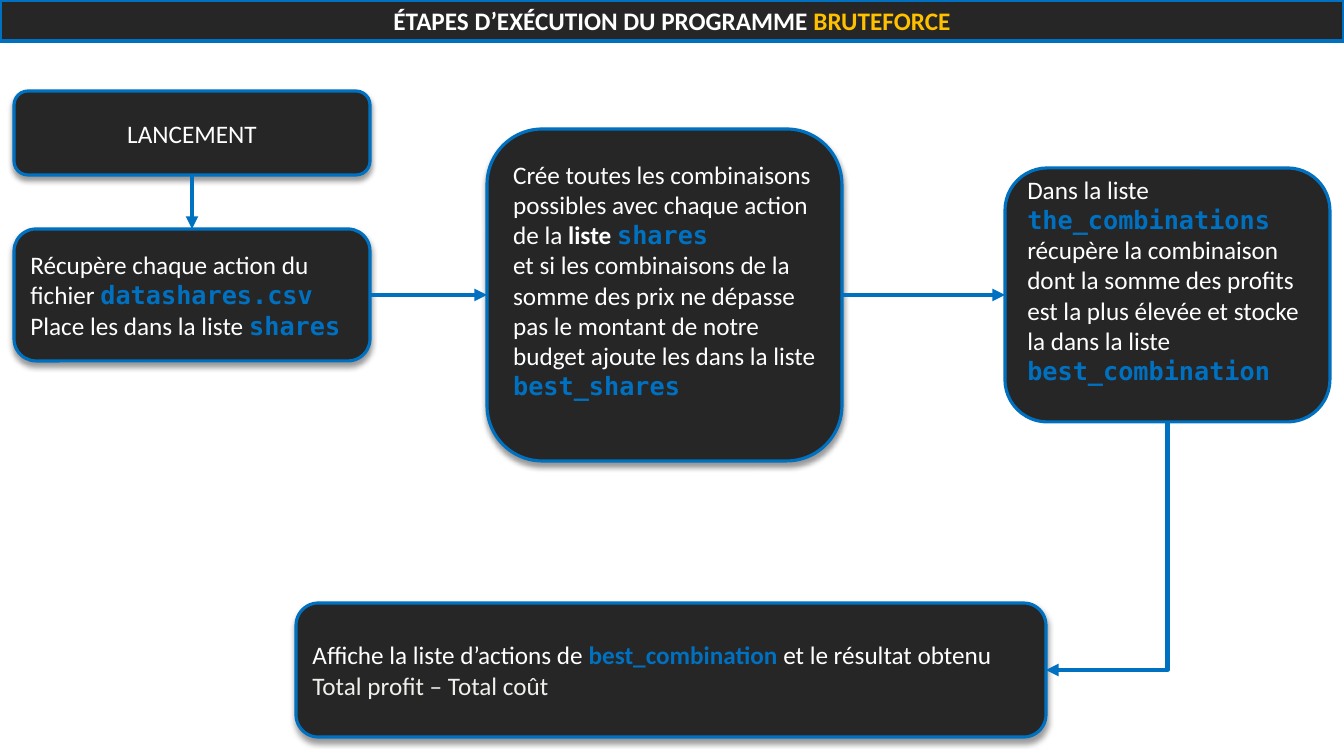
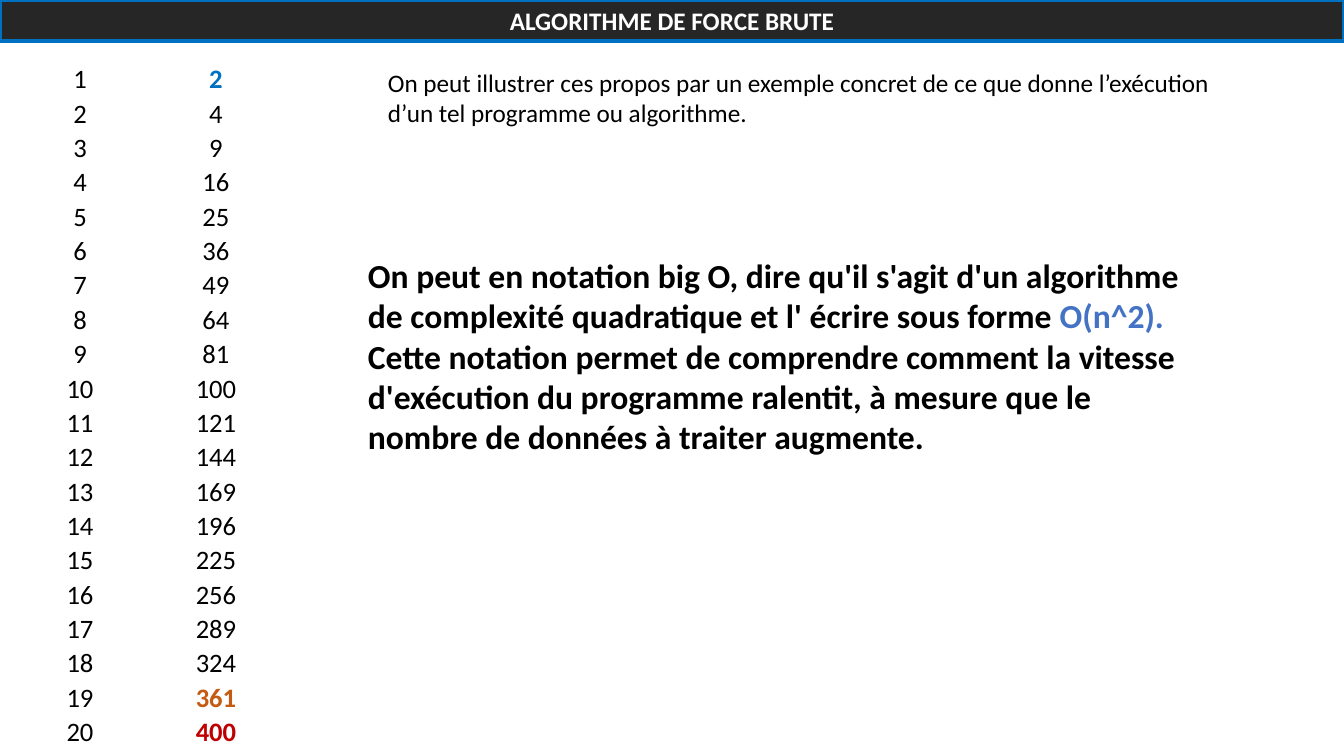
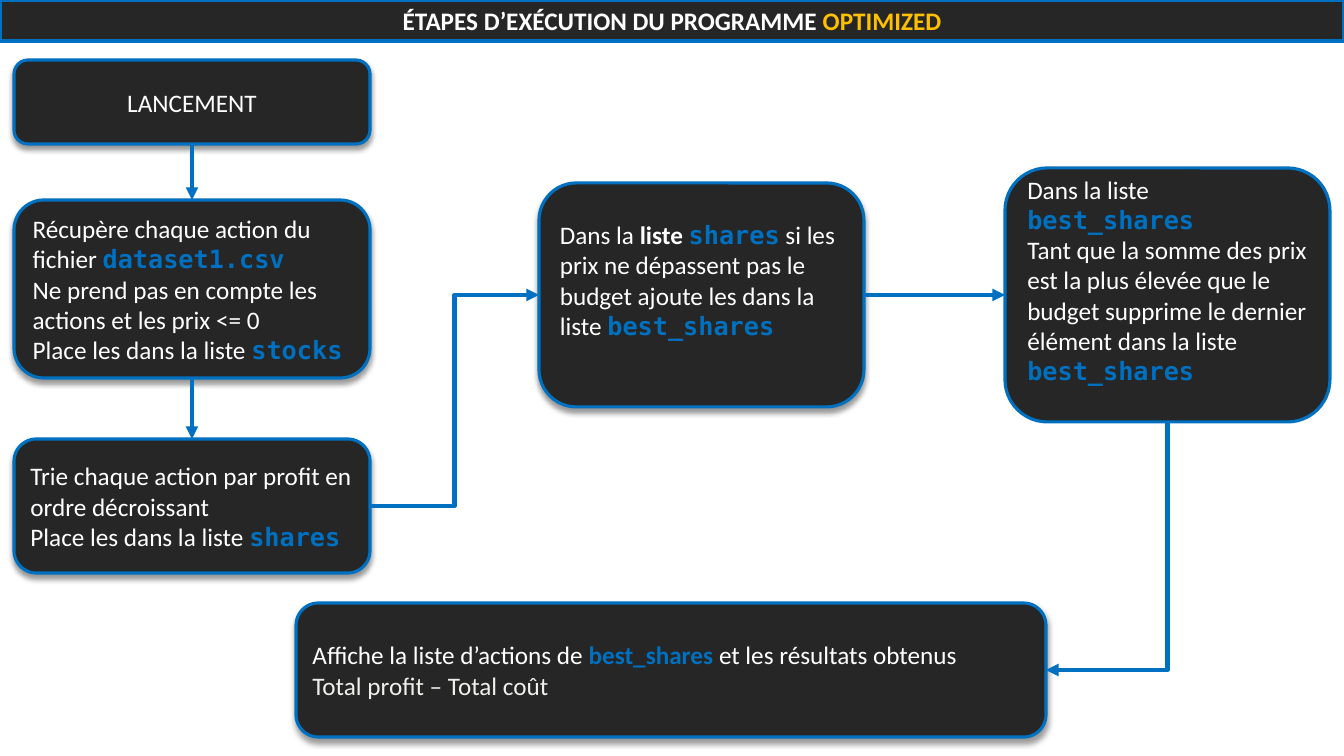
from dataclasses import dataclass

from lxml.etree import SubElement
from pptx import Presentation
from pptx.dml.color import RGBColor
from pptx.enum.shapes import MSO_CONNECTOR, MSO_SHAPE
from pptx.enum.text import MSO_ANCHOR, MSO_AUTO_SIZE, PP_ALIGN
from pptx.oxml.ns import qn
from pptx.util import Emu, Pt

SLIDE_WIDTH, SLIDE_HEIGHT = 1344, 756
EMU_PER_PX = 12192000 / SLIDE_WIDTH
TITLE_ONLY = 5
TOP, LEFT, BOTTOM, RIGHT = range(4)  # connection sites of a box


def px(length):
    return Emu(round(length * EMU_PER_PX))


@dataclass(frozen=True)
class Theme:
    panel: str = "262626"
    accent: str = "0070C0"
    light: str = "FFFFFF"
    soft: str = "EFF0EB"
    dark: str = "000000"
    gold: str = "FFC000"
    formula: str = "4472C4"
    orange: str = "C55A11"
    red: str = "C00000"
    text_font: str = "Calibri"
    code_font: str = "DejaVu Sans Mono"
    text_size: int = 18
    table_size: int = 19
    statement_size: int = 24
    outline: float = 2.25
    arrow: int = 3


@dataclass(frozen=True)
class Span:
    text: str
    color: str = None
    bold: bool = None
    name: str = None


THEME = Theme()


def code(text):
    return Span(text, THEME.accent, True, THEME.code_font)


def strong(text, color=None):
    return Span(text, color, True)


class Board:
    """Holds the style, the deck and the current slide."""

    def __init__(self, theme):
        self.theme = theme
        self.deck = Presentation()
        self.deck.slide_width = px(SLIDE_WIDTH)
        self.deck.slide_height = px(SLIDE_HEIGHT)
        self.page = None

    # Text
    def style(self, font, color=None, bold=None, name=None, size=None):
        if color:
            font.color.rgb = RGBColor.from_string(color)
        if bold is not None:
            font.bold = bold
        if name:
            font.name = name
        if size:
            font.size = Pt(size)

    def set_text(self, frame, paras, color, size=None, bold=False, align=PP_ALIGN.LEFT):
        frame.word_wrap = True
        for index, spans in enumerate(paras):
            para = frame.add_paragraph() if index else frame.paragraphs[0]
            para.alignment = align
            self.style(para.font, color, bold, self.theme.text_font,
                       size or self.theme.text_size)
            for span in spans:
                span = Span(span) if isinstance(span, str) else span
                run = para.add_run()
                run.text = span.text
                self.style(run.font, span.color, span.bold, span.name)

    def text(self, x, y, width, height, spans, size=None, bold=False):
        box = self.page.shapes.add_textbox(px(x), px(y), px(width), px(height))
        self.set_text(box.text_frame, [spans], self.theme.dark, size, bold)

    # Filled panels
    def panel(self, shape):
        shape.fill.solid()
        shape.fill.fore_color.rgb = RGBColor.from_string(self.theme.panel)
        shape.line.color.rgb = RGBColor.from_string(self.theme.accent)
        shape.line.width = Pt(self.theme.outline)

    def new_page(self, *title_spans):
        self.page = self.deck.slides.add_slide(self.deck.slide_layouts[TITLE_ONLY])
        title = self.page.shapes.title
        title.left, title.top = px(0), px(0)
        title.width, title.height = px(SLIDE_WIDTH), px(41)
        self.panel(title)
        title.text_frame.auto_size = MSO_AUTO_SIZE.NONE
        self.set_text(title.text_frame, [title_spans], self.theme.light,
                      bold=True, align=PP_ALIGN.CENTER)

    def step(self, x, y, width, height, *paras, lift=0, shadow=True,
             align=PP_ALIGN.LEFT):
        box = self.page.shapes.add_shape(
            MSO_SHAPE.ROUNDED_RECTANGLE, px(x), px(y), px(width), px(height))
        self.panel(box)
        box.shadow.inherit = False
        if shadow:
            self.drop_shadow(box)
        frame = box.text_frame
        frame.vertical_anchor = MSO_ANCHOR.MIDDLE
        frame.margin_bottom = px(5 + 2 * lift)
        self.set_text(frame, paras, self.theme.light, align=align)
        return box

    def drop_shadow(self, box):
        effects = box._element.spPr.find(qn("a:effectLst"))
        outer = SubElement(effects, qn("a:outerShdw"), blurRad=str(Pt(4)),
                           dist=str(Pt(3)), dir="5400000", algn="t", rotWithShape="0")
        color = SubElement(outer, qn("a:srgbClr"), val=self.theme.dark)
        SubElement(color, qn("a:alpha"), val="40000")

    # Arrows
    def arrow(self, start, start_site, end, end_site, kind=MSO_CONNECTOR.STRAIGHT):
        link = self.page.shapes.add_connector(kind, 0, 0, 0, 0)
        link.begin_connect(start, start_site)
        link.end_connect(end, end_site)
        link.line.color.rgb = RGBColor.from_string(self.theme.accent)
        link.line.width = Pt(self.theme.arrow)
        properties = link._element.spPr
        SubElement(properties.find(qn("a:ln")), qn("a:tailEnd"), type="triangle")
        SubElement(properties, qn("a:effectLst"))
        return link

    def corner_arrow(self, start, end):
        """Goes down from start, then left into end: one bend, turned by 90°."""
        link = self.arrow(start, BOTTOM, end, RIGHT, MSO_CONNECTOR.ELBOW)
        center_x = (link.begin_x + link.end_x) // 2
        center_y = (link.begin_y + link.end_y) // 2
        link.width, link.height = link.height, link.width
        link.left = center_x - link.width // 2
        link.top = center_y - link.height // 2
        frame = link._element.spPr.find(qn("a:xfrm"))
        frame.attrib.pop("flipH", None)
        frame.set("rot", "5400000")
        link._element.spPr.find(qn("a:prstGeom")).set("prst", "bentConnector2")

    # Table
    def table(self, x, y, width, height, rows):
        table = self.page.shapes.add_table(
            len(rows), len(rows[0]), px(x), px(y), px(width), px(height)).table
        table.first_row = table.horz_banding = False
        for row, spans in zip(table.rows, rows):
            for cell, span in zip(row.cells, spans):
                cell.fill.background()
                cell.vertical_anchor = MSO_ANCHOR.MIDDLE
                cell.margin_left = cell.margin_right = cell.margin_top = px(1)
                cell.margin_bottom = 0
                self.set_text(cell.text_frame, [[span]], self.theme.dark,
                              self.theme.table_size, align=PP_ALIGN.CENTER)

    # Steps found in both programmes
    def launch(self, y):
        return self.step(14, y, 356, 84, ["LANCEMENT"], align=PP_ALIGN.CENTER)

    def selection(self, *paras):
        return self.step(1005, 168, 325, 254, *paras, lift=15, shadow=False)

    def display(self, name, ending):
        return self.step(
            296, 603, 750, 134,
            ["Affiche la liste d’actions de ", strong(name + " ", self.theme.accent),
             ending],
            [Span("Total profit – Total coût", self.theme.soft)])


def bruteforce_steps(board):
    board.new_page("ÉTAPES D’EXÉCUTION DU PROGRAMME ", Span("BRUTEFORCE", THEME.gold))
    launch = board.launch(91)
    load = board.step(
        14, 229, 356, 132,
        ["Récupère chaque action du fichier ", code("datashares.csv")],
        ["Place les dans la liste ", code("shares")])
    combine = board.step(
        487, 129, 355, 332,
        ["Crée toutes les combinaisons possibles avec chaque action de la ",
         strong("liste "), code("shares")],
        ["et si les combinaisons de la somme des prix ne dépasse pas le montant "
         "de notre budget ajoute les dans la liste ", code("best_shares")],
        lift=15)
    select = board.selection(
        ["Dans la liste ", code("the_combinations")],
        ["récupère la combinaison dont la somme des profits est la plus élevée "
         "et stocke la dans la liste ", code("best_combination")])
    display = board.display("best_combination", "et le résultat obtenu")
    board.arrow(launch, BOTTOM, load, TOP)
    board.arrow(load, RIGHT, combine, LEFT)
    board.arrow(combine, RIGHT, select, LEFT)
    board.corner_arrow(select, display)


def brute_force_algorithm(board):
    board.new_page("ALGORITHME DE FORCE BRUTE")
    results = [2] + [number ** 2 for number in range(2, 21)]
    highlights = {2: THEME.accent, 361: THEME.orange, 400: THEME.red}
    rows = [
        (str(number), strong(str(result), highlights[result])
         if result in highlights else str(result))
        for number, result in enumerate(results, 1)]
    board.table(12, 62, 272, 688, rows)
    board.text(378, 62, 863, 102, [
        "On peut illustrer ces propos par un exemple concret de ce que donne "
        "l’exécution d’un tel programme ou algorithme."])
    board.text(358, 250, 840, 245, [
        "On peut en notation big O, dire qu'il s'agit d'un algorithme de complexité "
        "quadratique et l' écrire sous forme ",
        Span("O(n^2). ", THEME.formula),
        "Cette notation permet de comprendre comment la vitesse d'exécution du "
        "programme ralentit, à mesure que le nombre de données à traiter augmente."],
        THEME.statement_size, bold=True)


def optimized_steps(board):
    board.new_page("ÉTAPES D’EXÉCUTION DU PROGRAMME ", Span("OPTIMIZED", THEME.gold))
    launch = board.launch(60)
    load = board.step(
        14, 200, 356, 178,
        ["Récupère chaque action du fichier ", code("dataset1.csv")],
        ["Ne prend pas en compte les actions et les prix <= 0"],
        ["Place les dans la liste ", code("stocks")])
    sort = board.step(
        14, 439, 356, 134,
        ["Trie chaque action par profit en ordre décroissant"],
        ["Place les dans la liste ", code("shares")])
    fill = board.step(
        539, 183, 325, 224,
        ["Dans la ", strong("liste "), code("shares"),
         " si les prix ne dépassent pas le budget ajoute les dans la liste ",
         code("best_shares")],
        lift=15)
    select = board.selection(
        ["Dans la liste ", code("best_shares")],
        ["Tant que la somme des prix est la plus élevée que le budget supprime "
         "le dernier élément dans la liste ", code("best_shares")])
    display = board.display("best_shares", "et les résultats obtenus")
    board.arrow(launch, BOTTOM, load, TOP)
    board.arrow(load, BOTTOM, sort, TOP)
    board.arrow(sort, RIGHT, fill, LEFT, MSO_CONNECTOR.ELBOW)
    board.arrow(fill, RIGHT, select, LEFT)
    board.corner_arrow(select, display)


def main():
    board = Board(THEME)
    bruteforce_steps(board)
    brute_force_algorithm(board)
    optimized_steps(board)
    board.deck.save("out.pptx")


if __name__ == "__main__":
    main()
